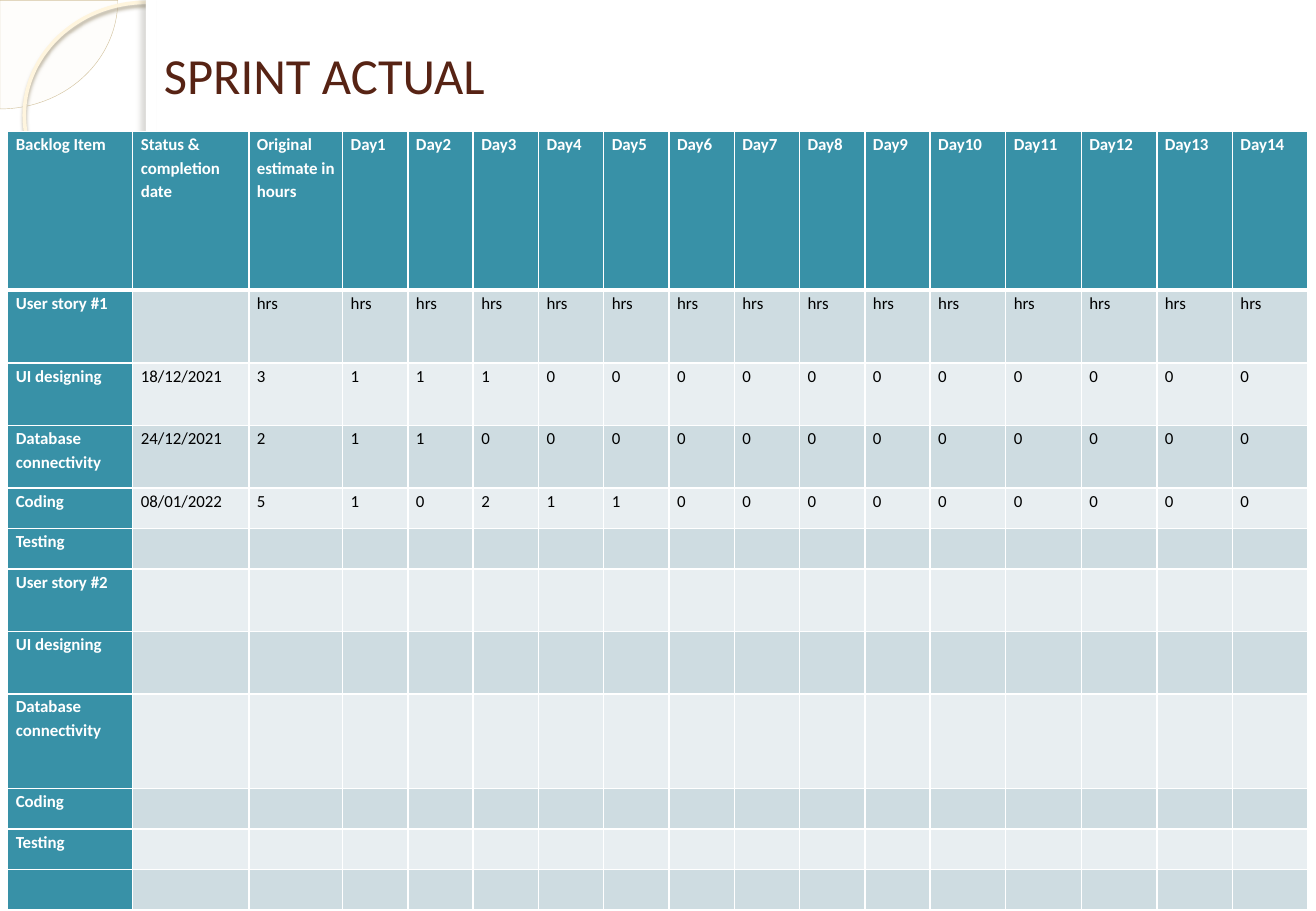
from dataclasses import dataclass
from typing import Optional

from lxml.etree import SubElement
from pptx import Presentation
from pptx.dml.color import RGBColor
from pptx.enum.shapes import MSO_SHAPE as Shape
from pptx.enum.text import MSO_ANCHOR as Anchor
from pptx.oxml.ns import qn
from pptx.util import Pt

COLORS = {
    "white": "FFFFFF", "black": "000000", "title": "572314",
    "teal": "3891A7", "band_dark": "CEDCE1", "band_light": "E8EEF1",
    "pie_fill": "FEFAF4", "pie_line": "D3C39F",
    "ring_line": "FFF5DE", "ring_shadow": "B0A68F", "edge_shadow": "736F63",
}
FONT = "Calibri"
PAGE_WIDTH, PAGE_HEIGHT = 780, 540
PANEL_LEFT = 86.4


@dataclass
class Shadow:
    color: str
    opacity: int
    blur: float
    distance: float
    angle: int


@dataclass
class Decoration:
    kind: Shape
    left: float
    top: float
    width: float
    height: float
    fill: Optional[str] = None
    opacity: int = 100
    line: Optional[str] = None
    line_width: float = 0
    shadow: Optional[Shadow] = None
    adjustments: tuple[float, ...] = ()


@dataclass
class BacklogRow:
    height: float
    item: str = ""
    completed: str = ""
    hours: tuple[str, ...] = ()


DECORATIONS = [
    Decoration(Shape.PIE, -69.8, -64.2, 139.6, 128.8, "pie_fill", 33,
               "pie_line", 0.25, adjustments=(0, 54.02)),
    Decoration(Shape.OVAL, 14.4, 1.4, 145.4, 133.9, line="ring_line",
               line_width=2.15, shadow=Shadow("ring_shadow", 85, 2, 2, 90)),
    Decoration(Shape.RECTANGLE, PANEL_LEFT, 0, PAGE_WIDTH - PANEL_LEFT,
               PAGE_HEIGHT, "white"),
    Decoration(Shape.RECTANGLE, PANEL_LEFT, 0, 6.5, PAGE_HEIGHT, "white",
               shadow=Shadow("edge_shadow", 25, 3, 3, 180)),
]

DAYS = 14
HEADERS = ["Backlog Item", "Status & completion date",
           "Original estimate in hours",
           *(f"Day{day}" for day in range(1, DAYS + 1))]
COLUMN_WIDTHS = [74.1, 68.8, 55.6] + [38.7] * 9 + [44.8] * 5
HEADER_HEIGHT = 94


def hours(estimate: int, *worked: int) -> tuple[str, ...]:
    """Estimate, then the hours of each day, with zeros up to the last day."""
    rest = [0] * (DAYS - len(worked))
    return tuple(str(value) for value in (estimate, *worked, *rest))


BACKLOG = [
    BacklogRow(43.2, "User story #1", hours=("hrs",) * (DAYS + 1)),
    BacklogRow(37, "UI designing", "18/12/2021", hours(3, 1, 1, 1)),
    BacklogRow(37.2, "Database connectivity", "24/12/2021", hours(2, 1, 1)),
    BacklogRow(24, "Coding", "08/01/2022", hours(5, 1, 0, 2, 1, 1)),
    BacklogRow(24, "Testing"),
    BacklogRow(37, "User story #2"),
    BacklogRow(37, "UI designing"),
    BacklogRow(56.2, "Database connectivity"),
    BacklogRow(24, "Coding"),
    BacklogRow(24, "Testing"),
    BacklogRow(24),
]


def rgb(name: str) -> RGBColor:
    return RGBColor.from_string(COLORS[name])


def add_span(para, text: str, size: float, color: str, bold: bool = False) -> None:
    span = para.add_run()
    span.text = text
    span.font.name = FONT
    span.font.size = Pt(size)
    span.font.bold = bold
    span.font.color.rgb = rgb(color)


def set_opacity(color_element, percent: int) -> None:
    SubElement(color_element, qn("a:alpha"), val=str(percent * 1000))


def add_shadow(properties, shadow: Shadow) -> None:
    outer = SubElement(properties.find(qn("a:effectLst")), qn("a:outerShdw"),
                       blurRad=str(Pt(shadow.blur)), dist=str(Pt(shadow.distance)),
                       dir=str(shadow.angle * 60000), algn="ctr", rotWithShape="0")
    color = SubElement(outer, qn("a:srgbClr"), val=COLORS[shadow.color])
    set_opacity(color, shadow.opacity)


def add_decoration(page, item: Decoration) -> None:
    shape = page.shapes.add_shape(item.kind, Pt(item.left), Pt(item.top),
                                  Pt(item.width), Pt(item.height))
    for index, value in enumerate(item.adjustments):
        shape.adjustments[index] = value
    properties = shape._element.spPr
    if item.fill:
        shape.fill.solid()
        shape.fill.fore_color.rgb = rgb(item.fill)
        if item.opacity < 100:
            set_opacity(properties.find(qn("a:solidFill"))[0], item.opacity)
    else:
        shape.fill.background()
    if item.line:
        shape.line.color.rgb = rgb(item.line)
        shape.line.width = Pt(item.line_width)
    else:
        shape.line.fill.background()
    shape.shadow.inherit = False
    if item.shadow:
        add_shadow(properties, item.shadow)


def add_title(page, text: str) -> None:
    box = page.shapes.add_textbox(Pt(90), Pt(10), Pt(639), Pt(68.4))
    box.text_frame.word_wrap = True
    box.text_frame.vertical_anchor = Anchor.MIDDLE
    add_span(box.text_frame.paragraphs[0], text, 30, "title")


def set_borders(cell, top: float, bottom: float) -> None:
    properties = cell._tc.get_or_add_tcPr()
    for side, width in (("L", 1), ("R", 1), ("T", top), ("B", bottom)):
        line = SubElement(properties, qn(f"a:ln{side}"), w=str(Pt(width)))
        fill = SubElement(line, qn("a:solidFill"))
        SubElement(fill, qn("a:srgbClr"), val=COLORS["white"])


def fill_cell(cell, text: str, row: int, column: int) -> None:
    heading = row == 0 or column == 0
    set_borders(cell, top=3 if row == 1 else 1, bottom=3 if row == 0 else 1)
    cell.fill.solid()
    band = "band_dark" if row % 2 else "band_light"
    cell.fill.fore_color.rgb = rgb("teal" if heading else band)
    cell.margin_left = cell.margin_right = Pt(4.8)
    cell.margin_top = cell.margin_bottom = Pt(0)
    if text:
        para = cell.text_frame.paragraphs[0]
        para.line_spacing = 1.15
        add_span(para, text, 10, "white" if heading else "black", heading)


def add_backlog_table(page) -> None:
    heights = [HEADER_HEIGHT, *(row.height for row in BACKLOG)]
    table = page.shapes.add_table(
        len(heights), len(COLUMN_WIDTHS), Pt(4.6), Pt(78),
        Pt(sum(COLUMN_WIDTHS)), Pt(sum(heights))).table
    for column, width in zip(table.columns, COLUMN_WIDTHS):
        column.width = Pt(width)
    lines = [HEADERS, *([row.item, row.completed, *row.hours] for row in BACKLOG)]
    for row, (height, texts) in enumerate(zip(heights, lines)):
        table.rows[row].height = Pt(height)
        for column in range(len(COLUMN_WIDTHS)):
            text = texts[column] if column < len(texts) else ""
            fill_cell(table.cell(row, column), text, row, column)


def main() -> None:
    deck = Presentation()
    deck.slide_width, deck.slide_height = Pt(PAGE_WIDTH), Pt(PAGE_HEIGHT)
    page = deck.slides.add_slide(deck.slide_layouts[6])
    for item in DECORATIONS:
        add_decoration(page, item)
    add_title(page, "SPRINT ACTUAL")
    add_backlog_table(page)
    deck.save("out.pptx")


if __name__ == "__main__":
    main()
